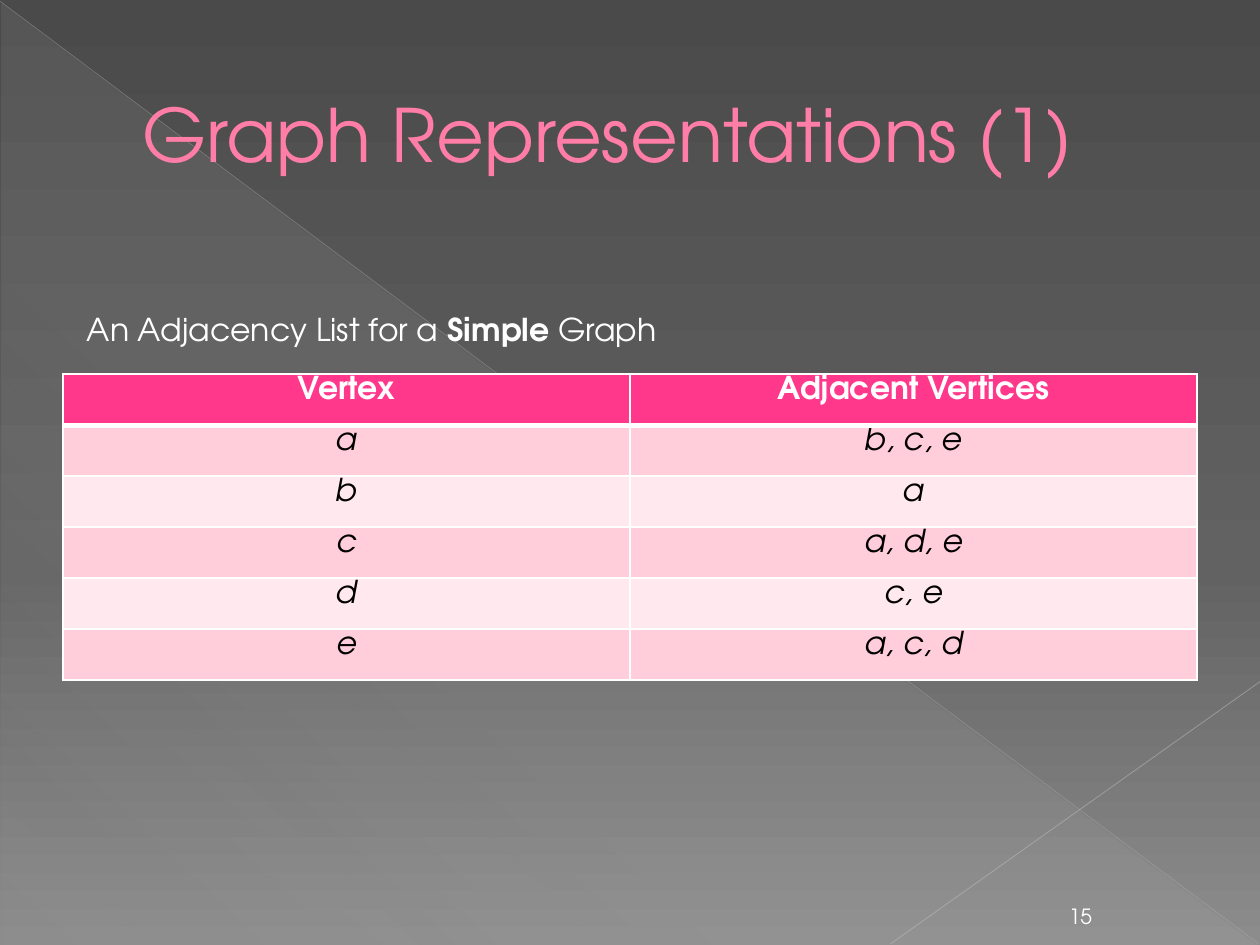
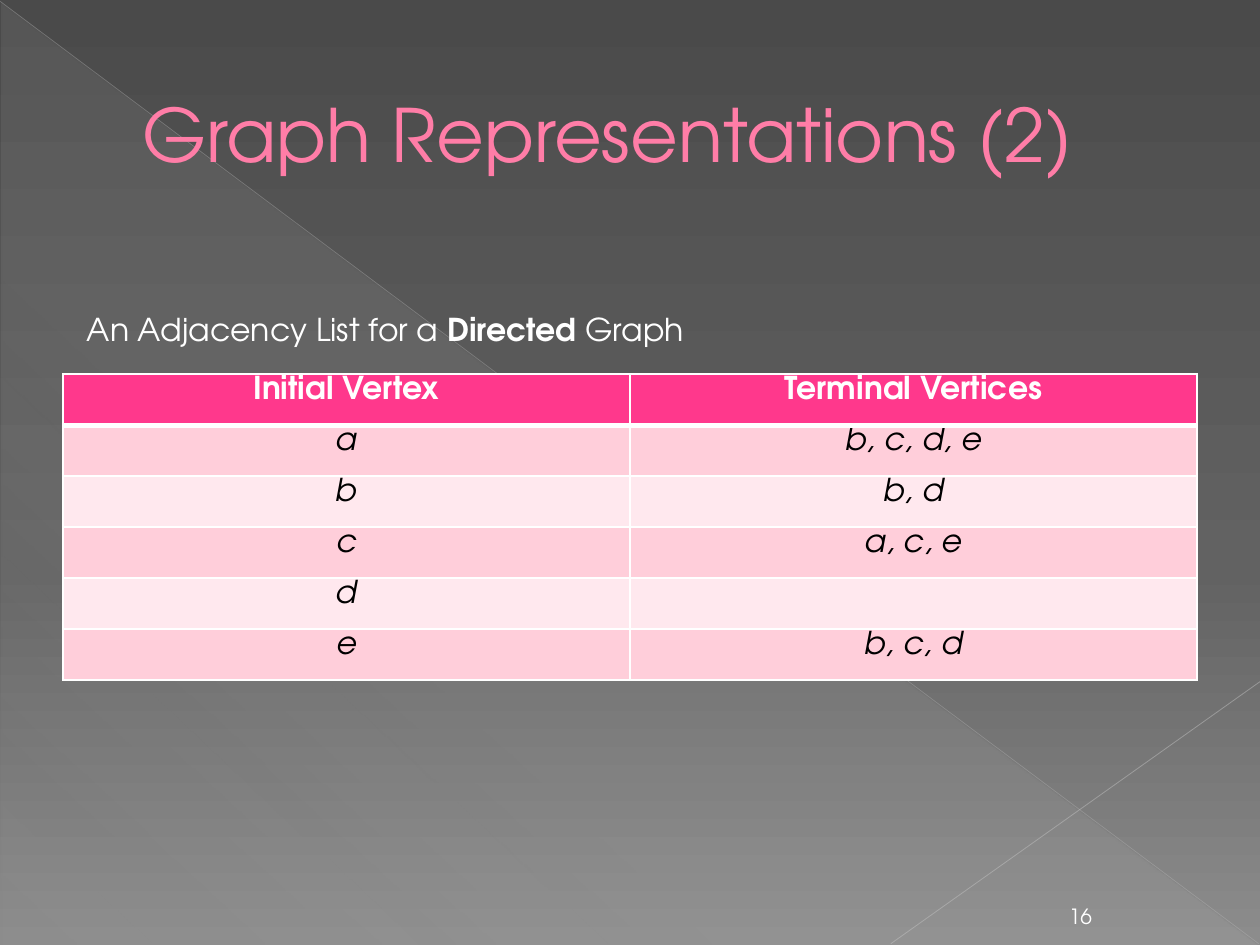
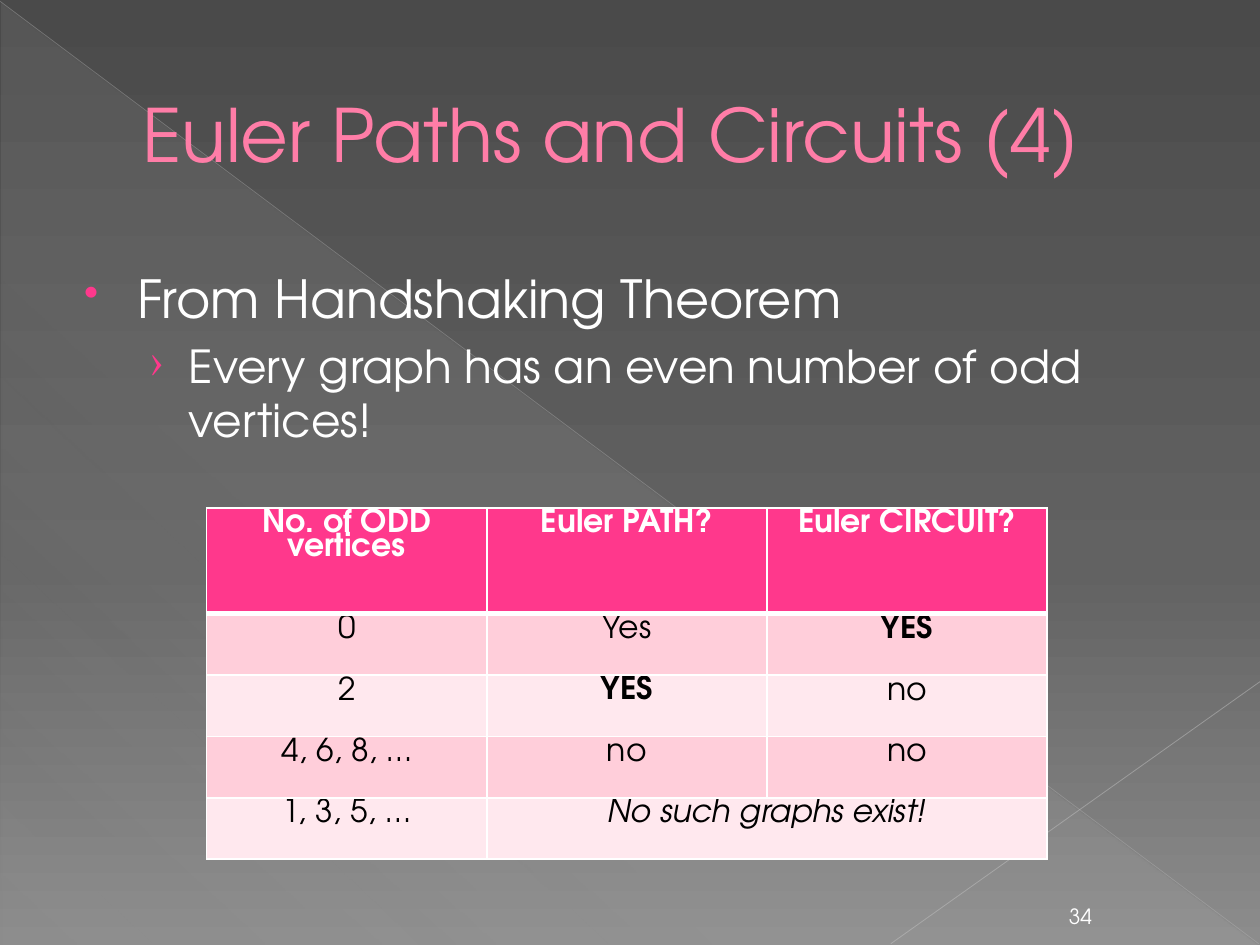
from pptx import Presentation
from pptx.dml.color import RGBColor
from pptx.enum.shapes import MSO_CONNECTOR, MSO_SHAPE
from pptx.enum.text import MSO_ANCHOR, PP_ALIGN
from pptx.oxml import parse_xml
from pptx.oxml.ns import nsdecls, qn
from pptx.util import Inches, Pt
from lxml.etree import SubElement

FONT = "TeX Gyre Adventor"
WHITE = RGBColor(0xFF, 0xFF, 0xFF)
BLACK = RGBColor(0x00, 0x00, 0x00)
PINK = RGBColor(0xFF, 0x38, 0x8C)
ROSE = RGBColor(0xFF, 0x7D, 0xA7)
WINE = RGBColor(0xB1, 0x27, 0x61)
BANDS = [RGBColor(0xFF, 0xCE, 0xDA), RGBColor(0xFF, 0xE8, 0xEE)]
DARK = RGBColor(0x4A, 0x4A, 0x4A)
GRAY = RGBColor(0x62, 0x62, 0x62)
LIGHT = RGBColor(0x8C, 0x8C, 0x8C)
MIST = RGBColor(0xD2, 0xD2, 0xD2)
BEAM = RGBColor(0xBF, 0xBF, 0xBF)
RAY = RGBColor(0xC6, 0xC6, 0xC6)

BOLD = {"bold": True}
ITALIC = {"italic": True}


def shade(node, angle, stops):
    """Put a gradient of (position, colour, opacity) in place of a solid fill."""
    marks = "".join(
        f'<a:gs pos="{pos * 1000}"><a:srgbClr val="{color}">'
        f'<a:alpha val="{alpha * 1000}"/></a:srgbClr></a:gs>'
        for pos, color, alpha in stops)
    grad = parse_xml(
        f'<a:gradFill {nsdecls("a")} rotWithShape="1"><a:gsLst>{marks}</a:gsLst>'
        f'<a:lin ang="{angle * 60000}" scaled="0"/></a:gradFill>')
    solid = node.find(".//" + qn("a:solidFill"))
    solid.getparent().replace(solid, grad)


def stroke(parent, tag, color, width):
    line = SubElement(parent, qn(tag), w=str(Pt(width)))
    fill = SubElement(line, qn("a:solidFill"))
    SubElement(fill, qn("a:srgbClr"), val=str(color))
    return line


def write(par, runs, **style):
    """Add runs, each a string or a (string, format) pair."""
    for run in runs:
        text, extra = (run, {}) if isinstance(run, str) else run
        item = par.add_run()
        item.text = text
        look = {"name": FONT, "color": WHITE, **style, **extra}
        item.font.color.rgb = look.pop("color")
        for key, value in look.items():
            setattr(item.font, key, value)


def indent(par, left, first=0):
    props = par._p.get_or_add_pPr()
    props.set("marL", str(Inches(left)))
    props.set("indent", str(Inches(first)))
    return props


class Deck:
    def __init__(self):
        self.show = Presentation()
        self.show.slide_width = Inches(10)
        self.show.slide_height = Inches(7.5)

    def page(self, title, number):
        self.slide = self.show.slides.add_slide(self.show.slide_layouts[6])
        self.slide.background.fill.solid()
        shade(self.slide._element, 90,
              [(0, DARK, 100), (60, GRAY, 100), (100, LIGHT, 100)])
        self.wedge()
        self.line((0, 0.01), (9.99, 7.49), BEAM, 0.39, 35)
        self.line((10, 5.41), (7.07, 7.49), RAY, 0.47, 45)
        self.title(title)
        par = self.text(8.3, 7.09, 0.55, 0.33, MSO_ANCHOR.BOTTOM).paragraphs[0]
        par.alignment = PP_ALIGN.CENTER
        write(par, [str(number)], size=Pt(12))

    def wedge(self):
        shape = self.slide.shapes.add_shape(
            MSO_SHAPE.RIGHT_TRIANGLE,
            Inches(0.01), Inches(0.02), Inches(9.98), Inches(7.48))
        shape.shadow.inherit = False
        shape.line.fill.background()
        shape.fill.solid()
        shape.fill.fore_color.rgb = MIST
        shade(shape._element, 133, [(0, MIST, 10), (70, MIST, 8), (100, MIST, 1)])

    def line(self, start, end, color, width, alpha):
        ends = [Inches(value) for value in start + end]
        line = self.slide.shapes.add_connector(MSO_CONNECTOR.STRAIGHT, *ends)
        line.line.width = Pt(width)
        line.line.color.rgb = color
        props = line._element.spPr
        tint = props.find(".//" + qn("a:srgbClr"))
        SubElement(tint, qn("a:alpha"), val=str(alpha * 1000))
        SubElement(props, qn("a:effectLst"))

    def text(self, left, top, width, height, anchor=MSO_ANCHOR.TOP):
        box = self.slide.shapes.add_textbox(
            Inches(left), Inches(top), Inches(width), Inches(height))
        frame = box.text_frame
        frame.word_wrap = True
        frame.vertical_anchor = anchor
        return frame

    def title(self, title):
        par = self.text(0.5, 0.29, 9, 1.53, MSO_ANCHOR.MIDDLE).paragraphs[0]
        indent(par, 0.53)
        write(par, [title], size=Pt(42), color=ROSE)
        props = par.runs[0].font._element
        props.insert(0, stroke(props, "a:ln", WINE, 0.5))

    def caption(self, *runs):
        par = self.text(0.59, 2.41, 8.82, 0.4).paragraphs[0]
        write(par, runs, size=Pt(18))

    def bullets(self, *items):
        """Write (text, level) items."""
        styles = [(30, 0.49, -0.42, "•", 80), (26, 0.9, -0.31, "›", 95)]
        frame = self.text(0.5, 2.06, 9, 5)
        for row, (text, level) in enumerate(items):
            size, left, first, sign, scale = styles[level]
            par = frame.add_paragraph() if row else frame.paragraphs[0]
            par.level = level
            par.space_before = Pt(size * 0.2)
            props = indent(par, left, first)
            tint = SubElement(props, qn("a:buClr"))
            SubElement(tint, qn("a:srgbClr"), val=str(PINK))
            SubElement(props, qn("a:buSzPct"), val=str(scale * 1000))
            SubElement(props, qn("a:buChar"), char=sign)
            write(par, [text], size=Pt(size))

    def table(self, place, rows, head=None, **style):
        """Draw rows under a header row; None joins a cell to the one on its left."""
        left, top, width, height = place
        grid = self.slide.shapes.add_table(
            len(rows), len(rows[0]),
            Inches(left), Inches(top), Inches(width), Inches(height)).table
        if head:
            rest = (height - head) / (len(rows) - 1)
            for index, row in enumerate(grid.rows):
                row.height = Inches(rest if index else head)
        for row, items in enumerate(rows):
            for col, item in enumerate(items):
                cell = grid.cell(row, col)
                self.cell(cell, row, item, style if row else BOLD)
                if item is None:
                    grid.cell(row, col - 1).merge(cell)

    def cell(self, cell, row, item, style):
        props = cell._tc.get_or_add_tcPr()
        widths = {"L": 1, "R": 1, "T": 3 if row == 1 else 1, "B": 1 if row else 3}
        for side, width in widths.items():
            stroke(props, "a:ln" + side, WHITE, width)
        cell.fill.solid()
        cell.fill.fore_color.rgb = BANDS[(row - 1) % 2] if row else PINK
        par = cell.text_frame.paragraphs[0]
        par.alignment = PP_ALIGN.CENTER
        par.line_spacing = 0.8
        if item:
            look = {"bold": False, "color": BLACK if row else WHITE, **style}
            write(par, [item], size=Pt(18), **look)


def main():
    deck = Deck()
    wide = (0.5, 2.97, 9, 2.43)
    lists = [
        ("Simple", 15, ("Vertex", "Adjacent Vertices"),
         ("b, c, e", "a", "a, d, e", "c, e", "a, c, d")),
        ("Directed", 16, ("Initial Vertex", "Terminal Vertices"),
         ("b, c, d, e", "b, d", "a, c, e", "", "b, c, d")),
    ]
    for part, (kind, number, heads, ends) in enumerate(lists, 1):
        deck.page(f"Graph Representations ({part})", number)
        deck.table(wide, [heads, *zip("abcde", ends)], italic=True)
        deck.caption("An Adjacency List for a ", (kind, BOLD), " Graph")

    deck.page("Euler Paths and Circuits (4)", 34)
    deck.bullets(("From Handshaking Theorem", 0),
                 ("Every graph has an even number of odd vertices!", 1))
    deck.table((1.64, 4.03, 6.67, 2.79), [
        ("No. of ODD vertices", "Euler PATH?", "Euler CIRCUIT?"),
        ("0", "Yes", ("YES", BOLD)),
        ("2", ("YES", BOLD), "no"),
        ("4, 6, 8, …", "no", "no"),
        ("1, 3, 5, …", ("No such graphs exist!", ITALIC), None),
    ], head=0.84)
    deck.show.save("out.pptx")


if __name__ == "__main__":
    main()
